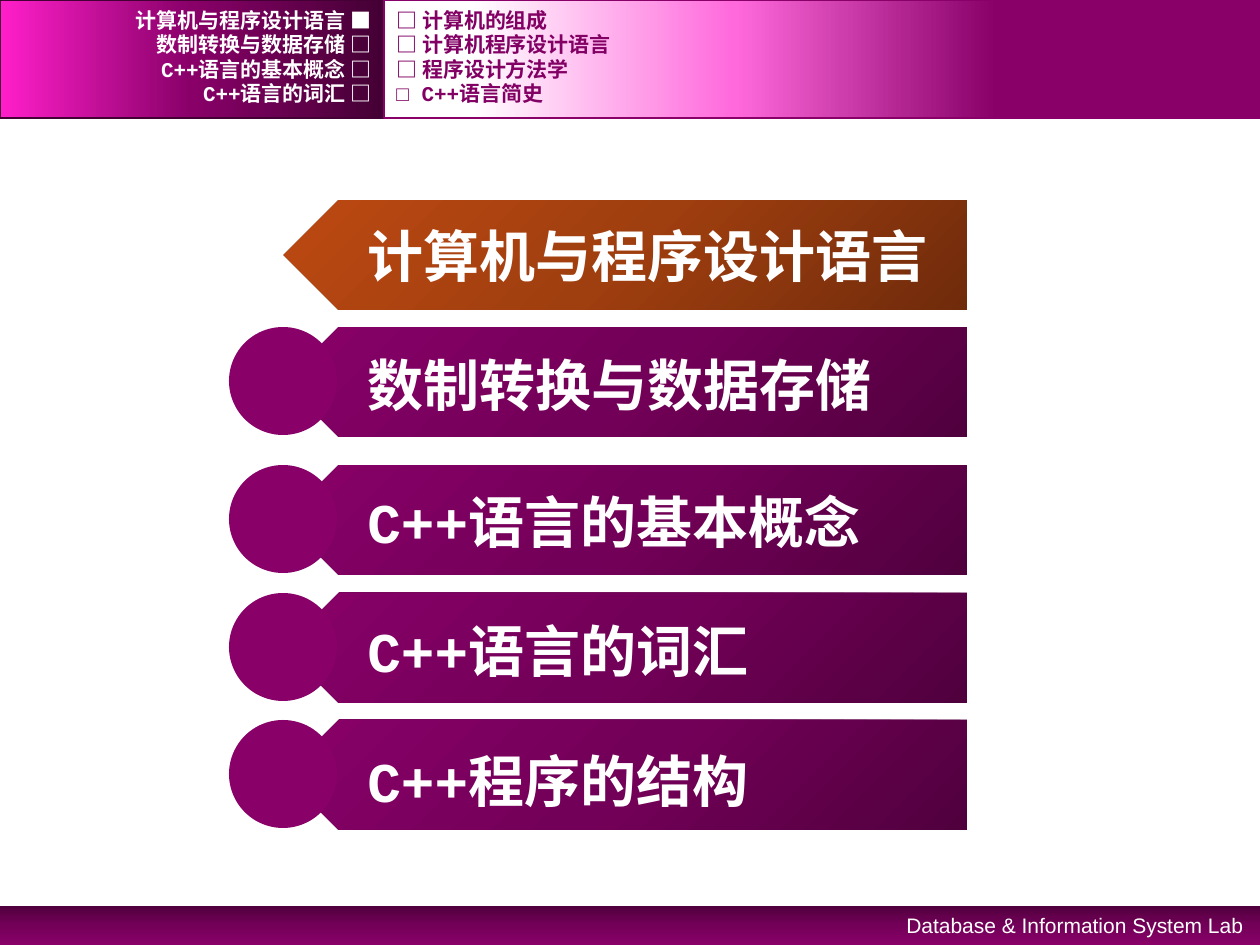
from dataclasses import dataclass

from lxml.etree import SubElement
from pptx import Presentation
from pptx.dml.color import RGBColor
from pptx.enum.lang import MSO_LANGUAGE_ID
from pptx.enum.shapes import MSO_SHAPE
from pptx.enum.text import MSO_ANCHOR, MSO_AUTO_SIZE, PP_ALIGN
from pptx.oxml.ns import qn
from pptx.util import Emu, Pt


@dataclass(frozen=True)
class Theme:
    white: str = "FFFFFF"
    plum: str = "880068"
    dark_plum: str = "440034"
    nav_text: str = "820064"
    plum_stops: tuple = ((0, "51003E"), (50, "730058"), (100, "880068"))
    orange_stops: tuple = ((0, "702B0B"), (50, "9F3E0F"), (100, "BD4912"))
    left_stops: tuple = ((0, "440034"), (50, "880068"), (100, "FF1FCA"))
    right_stops: tuple = ((30, "880068"), (60, "FF69DC"), (90, "FFFFFF"))
    heading_font: str = "Courier New"
    footer_font: str = "Arial"
    small: int = 12
    large: int = 32


THEME = Theme()
PX = 914400 / 126
WIDTH, HEIGHT = 1260, 945
HEADER_SPLIT, HEADER_HEIGHT = 384, 118
FOOTER_TOP = 906
NAV_TOP, NAV_HEIGHT = 8, 25
PLATE_LEFT, PLATE_WIDTH, PLATE_HEIGHT = 284, 683, 110
DISC_LEFT, DISC_SIZE = 229, 108

SECTIONS = ["计算机与程序设计语言 ■", "数制转换与数据存储 □",
            "C++语言的基本概念 □", "C++语言的词汇 □"]
TOPICS = ["□ 计算机的组成", "□ 计算机程序设计语言",
          "□ 程序设计方法学", "□ C++语言简史"]
# Label, plate top, text top
CURRENT = ("计算机与程序设计语言", 200, 215)
CHAPTERS = [("数制转换与数据存储", 327, 344), ("C++语言的基本概念", 465, 481),
            ("C++语言的词汇", 593, 610), ("C++程序的结构", 720, 740)]


def px(*lengths):
    return [Emu(round(length * PX)) for length in lengths]


def add_shape(slide, kind, box, color=None, line=None):
    shape = slide.shapes.add_shape(kind, *px(*box))
    shape.shadow.inherit = False
    if color:
        shape.fill.solid()
        shape.fill.fore_color.rgb = RGBColor.from_string(color)
    if line:
        shape.line.color.rgb = RGBColor.from_string(line)
        shape.line.width = Pt(1)
    else:
        shape.line.fill.background()
    return shape


def set_gradient(shape, stops, angle):
    """Fill with (percent, colour) stops; the angle runs clockwise."""
    shape.fill.gradient()
    gradient = shape._element.spPr.find(qn("a:gradFill"))
    for child in list(gradient):
        gradient.remove(child)
    stop_list = SubElement(gradient, qn("a:gsLst"))
    for percent, color in stops:
        stop = SubElement(stop_list, qn("a:gs"), pos=str(percent * 1000))
        SubElement(stop, qn("a:srgbClr"), val=color)
    SubElement(gradient, qn("a:lin"), ang=str(angle * 60000), scaled="1")


def add_text(slide, text, box, size, color, font=THEME.heading_font, bold=True,
             align=PP_ALIGN.LEFT, anchor=MSO_ANCHOR.TOP, grow=True):
    frame = slide.shapes.add_textbox(*px(*box)).text_frame
    frame.word_wrap = True
    frame.vertical_anchor = anchor
    frame.auto_size = MSO_AUTO_SIZE.SHAPE_TO_FIT_TEXT if grow else MSO_AUTO_SIZE.NONE
    paragraph = frame.paragraphs[0]
    paragraph.alignment = align
    run = paragraph.add_run()
    run.text = text
    run.font.name = font
    run.font.size = Pt(size)
    run.font.bold = bold
    run.font.color.rgb = RGBColor.from_string(color)
    run.font.language_id = MSO_LANGUAGE_ID.SIMPLIFIED_CHINESE


def add_band(slide, box, stops, angle, line=None):
    band = add_shape(slide, MSO_SHAPE.RECTANGLE, box, line=line)
    set_gradient(band, stops, angle)


def add_nav(slide, labels, left, width, color, align):
    for index, label in enumerate(labels):
        top = NAV_TOP + index * 49 // 2
        add_text(slide, label, (left, top, width, NAV_HEIGHT), THEME.small, color,
                 align=align, anchor=MSO_ANCHOR.MIDDLE, grow=False)


def add_chapter(slide, label, top, text_top, stops, disc=True):
    plate = add_shape(slide, MSO_SHAPE.PENTAGON,
                      (PLATE_LEFT, top, PLATE_WIDTH, PLATE_HEIGHT))
    plate._element.spPr.xfrm.set("flipH", "1")
    set_gradient(plate, stops, 315)
    if disc:
        add_shape(slide, MSO_SHAPE.OVAL, (DISC_LEFT, top, DISC_SIZE, DISC_SIZE),
                  THEME.plum)
    add_text(slide, label, (355, text_top, 595, 81), THEME.large, THEME.white)


def main():
    presentation = Presentation()
    presentation.slide_width, presentation.slide_height = px(WIDTH, HEIGHT)
    slide = presentation.slides.add_slide(presentation.slide_layouts[6])

    # Footer and header bands
    add_band(slide, (0, FOOTER_TOP, WIDTH, HEIGHT - FOOTER_TOP), THEME.plum_stops, 90)
    add_band(slide, (0, 0, HEADER_SPLIT, HEADER_HEIGHT), THEME.left_stops, 180,
             THEME.dark_plum)
    add_band(slide, (HEADER_SPLIT, 0, WIDTH - HEADER_SPLIT, HEADER_HEIGHT),
             THEME.right_stops, 180, THEME.plum)
    add_text(slide, "Database & Information System Lab", (809, FOOTER_TOP, 447, 38),
             THEME.small, THEME.white, THEME.footer_font, False, PP_ALIGN.RIGHT)

    # Navigation in the header
    add_nav(slide, SECTIONS, 0, HEADER_SPLIT, THEME.white, PP_ALIGN.RIGHT)
    add_nav(slide, TOPICS, HEADER_SPLIT, 759, THEME.nav_text, PP_ALIGN.LEFT)

    # Chapter list, with the current chapter highlighted
    for chapter in CHAPTERS:
        add_chapter(slide, *chapter, THEME.plum_stops)
    add_chapter(slide, *CURRENT, THEME.orange_stops, disc=False)

    presentation.save("out.pptx")


if __name__ == "__main__":
    main()
